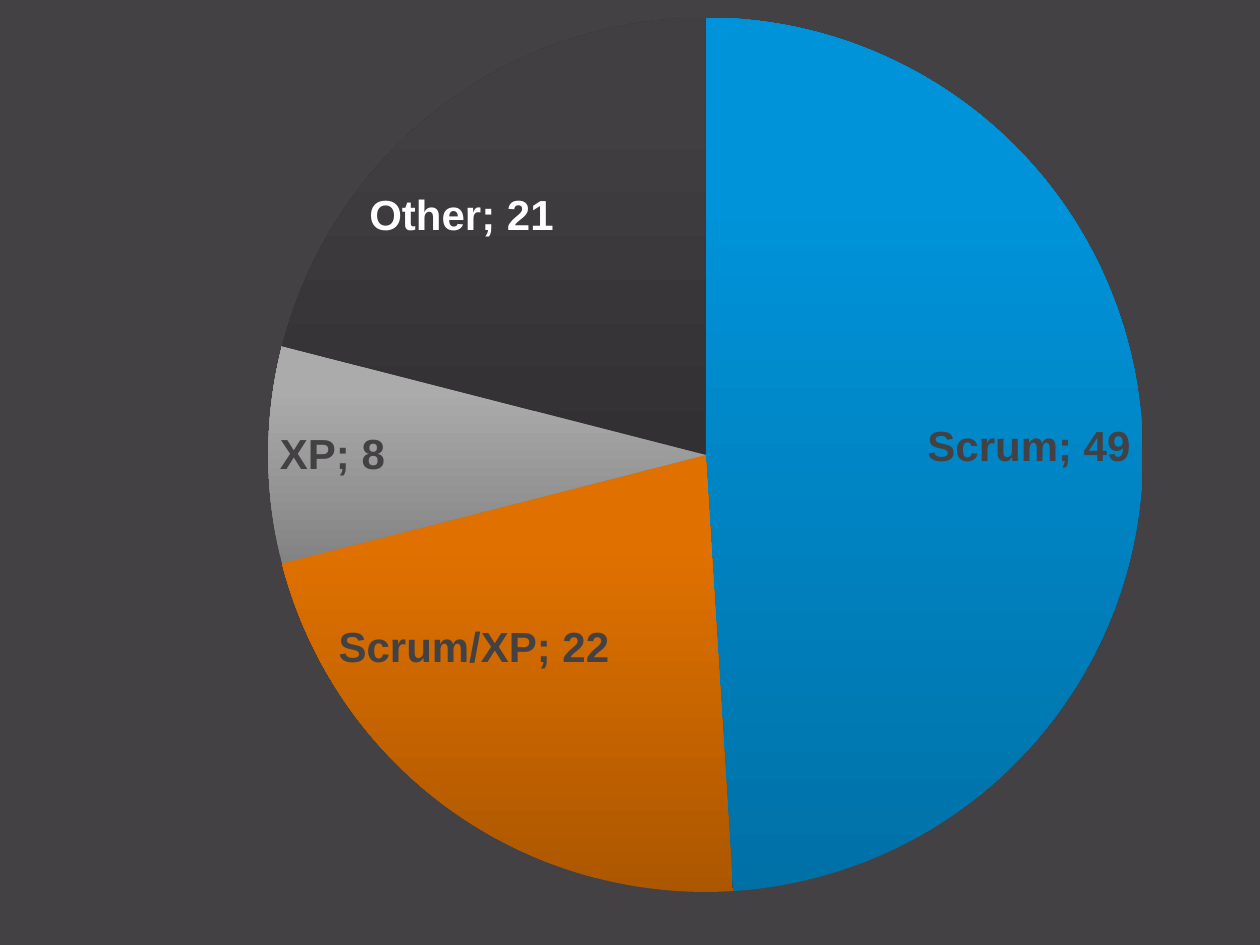
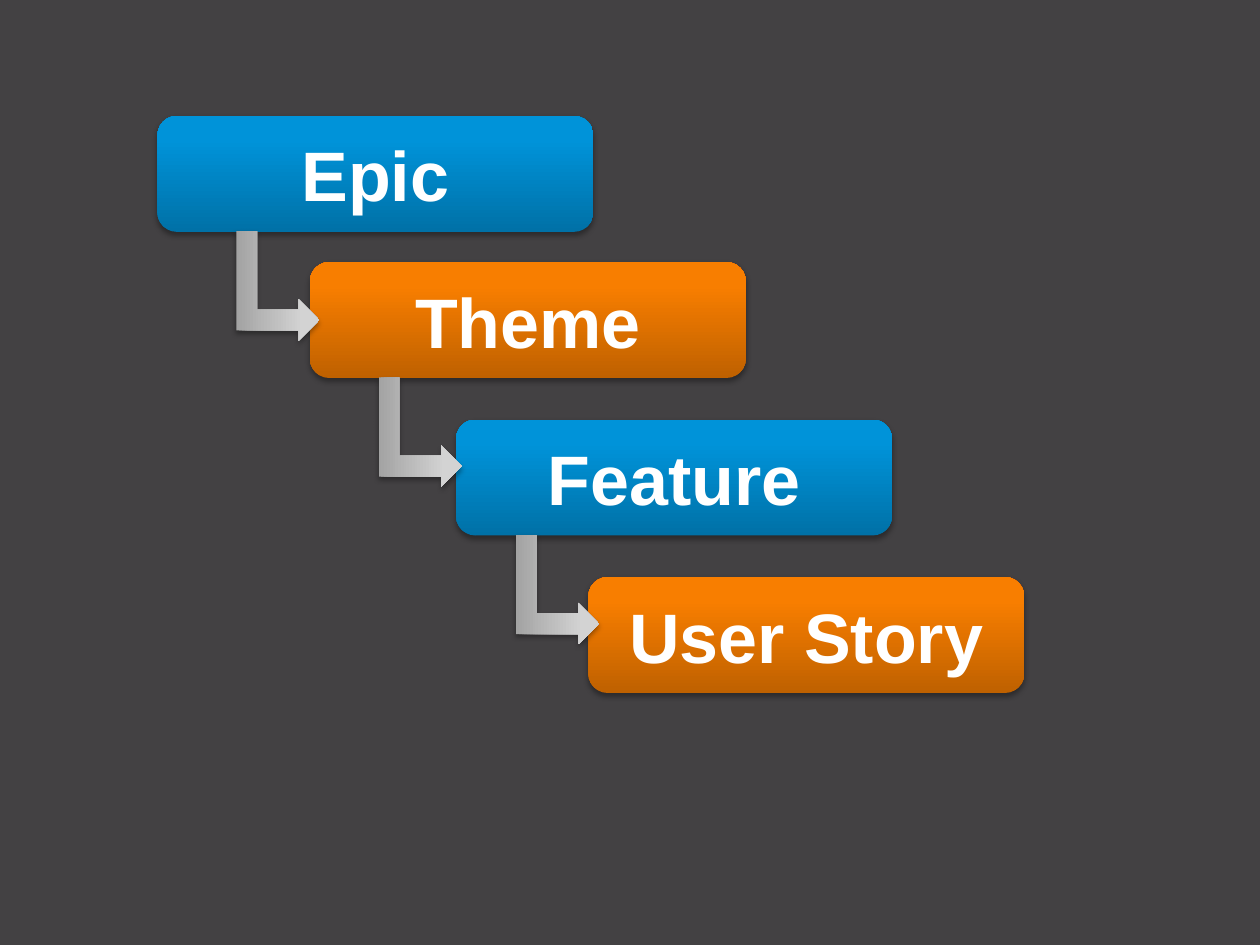
from copy import deepcopy

from lxml import etree
from pptx import Presentation
from pptx import util as u
from pptx.chart.data import CategoryChartData
from pptx.dml.color import RGBColor
from pptx.enum import chart as charts, shapes, text
from pptx.oxml import parse_xml
from pptx.oxml.ns import nsdecls, qn

FONT = "Arial"
BACKGROUND, WHITE = "434143", "FFFFFF"
BLUE = ("0071A7", "0093D9", "0094DA")
ORANGE = ("BF6100", "F87E00", "F97F00")
SILVER = ("A3A3A3", "D3D3D3", "D4D4D4")
DARK_ORANGE = ("AC5700", "E07100", "E17200")
GREY = ("838383", "ABABAB", "ABABAB")
CHARCOAL = ("323032", "413F41", "423F42")
STOPS = (0, 0.8, 1)


def rgb(value):
    return RGBColor.from_string(value)


class DeckBuilder:
    """Hold the shared style and draw elements on the current page."""

    def __init__(self):
        self.deck = Presentation()
        self.deck.slide_width, self.deck.slide_height = u.Inches(10), u.Inches(7.5)
        self.page = None

    def add_page(self):
        self.page = self.deck.slides.add_slide(self.deck.slide_layouts[6])
        fill = self.page.background.fill
        fill.solid()
        fill.fore_color.rgb = rgb(BACKGROUND)

    def style_font(self, font, size, color):
        font.name, font.size, font.bold = FONT, u.Pt(size), True
        font.color.rgb = rgb(color)

    def shade(self, target, colors):
        fill = target.fill
        fill.gradient()
        fill.gradient_angle = 90
        last = fill.gradient_stops[1]._gs
        last.addnext(deepcopy(last))
        for stop, color, position in zip(fill.gradient_stops, colors, STOPS):
            stop.color.rgb = rgb(color)
            stop.position = position
        target.line.fill.background()

    def add_block(self, kind, left, top, width, height, colors):
        block = self.page.shapes.add_shape(
            kind, *map(u.Inches, (left, top, width, height)))
        self.shade(block, colors)
        block.shadow.inherit = False
        effects = block._element.spPr.find(qn("a:effectLst"))
        effects.append(parse_xml(
            f'<a:outerShdw {nsdecls("a")} blurRad="{u.Pt(3.1)}" dist="{u.Pt(1.8)}" '
            'dir="5400000" rotWithShape="0"><a:srgbClr val="000000">'
            '<a:alpha val="35000"/></a:srgbClr></a:outerShdw>'))
        return block

    def add_box(self, label, left, top, colors):
        box = self.add_block(shapes.MSO_SHAPE.ROUNDED_RECTANGLE,
                             left, top, 3.46, 0.92, colors)
        box.text_frame.vertical_anchor = text.MSO_ANCHOR.MIDDLE
        para = box.text_frame.paragraphs[0]
        para.alignment = text.PP_ALIGN.CENTER
        span = para.add_run()
        span.text = label
        self.style_font(span.font, 40, WHITE)

    def add_arrow(self, left, top):
        arrow = self.add_block(shapes.MSO_SHAPE.BENT_UP_ARROW,
                               left, top, 0.87, 0.66, SILVER)
        arrow.rotation = 90

    def add_pie(self, slices, frame, plot):
        data = CategoryChartData()
        data.categories = [name for name, *_ in slices]
        data.add_series("Series 1", [value for _, value, *_ in slices])
        chart = self.page.shapes.add_chart(
            charts.XL_CHART_TYPE.PIE, *map(u.Inches, frame), data).chart
        chart.has_title = chart.has_legend = False
        chart.font.name, chart.font.size = FONT, u.Pt(18)
        chart.font.color.rgb = rgb(WHITE)
        chart.plots[0].vary_by_categories = True
        self.place_plot(chart, frame, plot)
        series = chart.plots[0].series[0]
        for index, (_, _, colors, label_color) in enumerate(slices):
            point = series.points[index]
            self.shade(point.format, colors)
            self.style_font(point.data_label.font, 24, label_color)
            point.data_label.position = charts.XL_LABEL_POSITION.BEST_FIT
        for label in series._element.iter(qn("c:dLbl")):
            label.find(qn("c:showCatName")).set("val", "1")
            separator = etree.Element(qn("c:separator"))
            separator.text = "; "
            label.find(qn("c:showBubbleSize")).addnext(separator)

    def place_plot(self, chart, frame, plot):
        left, top, width, height = frame
        shares = ((plot[0] - left) / width, (plot[1] - top) / height,
                  plot[2] / width, plot[3] / height)
        area = chart._chartSpace.chart.plotArea
        for old in area.findall(qn("c:layout")):
            area.remove(old)
        sizes = "".join(f'<c:{key} val="{share}"/>' for key, share in zip("xywh", shares))
        area.insert(0, parse_xml(
            f'<c:layout {nsdecls("c")}><c:manualLayout><c:layoutTarget val="inner"/>'
            '<c:xMode val="edge"/><c:yMode val="edge"/>'
            f'{sizes}</c:manualLayout></c:layout>'))


def build_method_share(builder):
    builder.add_page()
    slices = [("Scrum", 49, BLUE, BACKGROUND),
              ("Scrum/XP", 22, DARK_ORANGE, BACKGROUND),
              ("XP", 8, GREY, BACKGROUND),
              ("Other", 21, CHARCOAL, WHITE)]
    builder.add_pie(slices, (-0.83, 0, 11.33, 7.33), (2.13, 0.14, 6.94, 6.94))


def build_story_levels(builder):
    builder.add_page()
    levels = [("Epic", 1.25, 0.92), ("Theme", 2.46, 2.08),
              ("Feature", 3.62, 3.33), ("User Story", 4.67, 4.58)]
    for index, (label, left, top) in enumerate(levels):
        builder.add_box(label, left, top, (BLUE, ORANGE)[index % 2])
    for (_, _, top), arrow_left in zip(levels, (1.77, 2.9, 3.99)):
        builder.add_arrow(arrow_left, top + 1.02)


def main():
    builder = DeckBuilder()
    build_method_share(builder)
    build_story_levels(builder)
    builder.deck.save("out.pptx")


if __name__ == "__main__":
    main()
